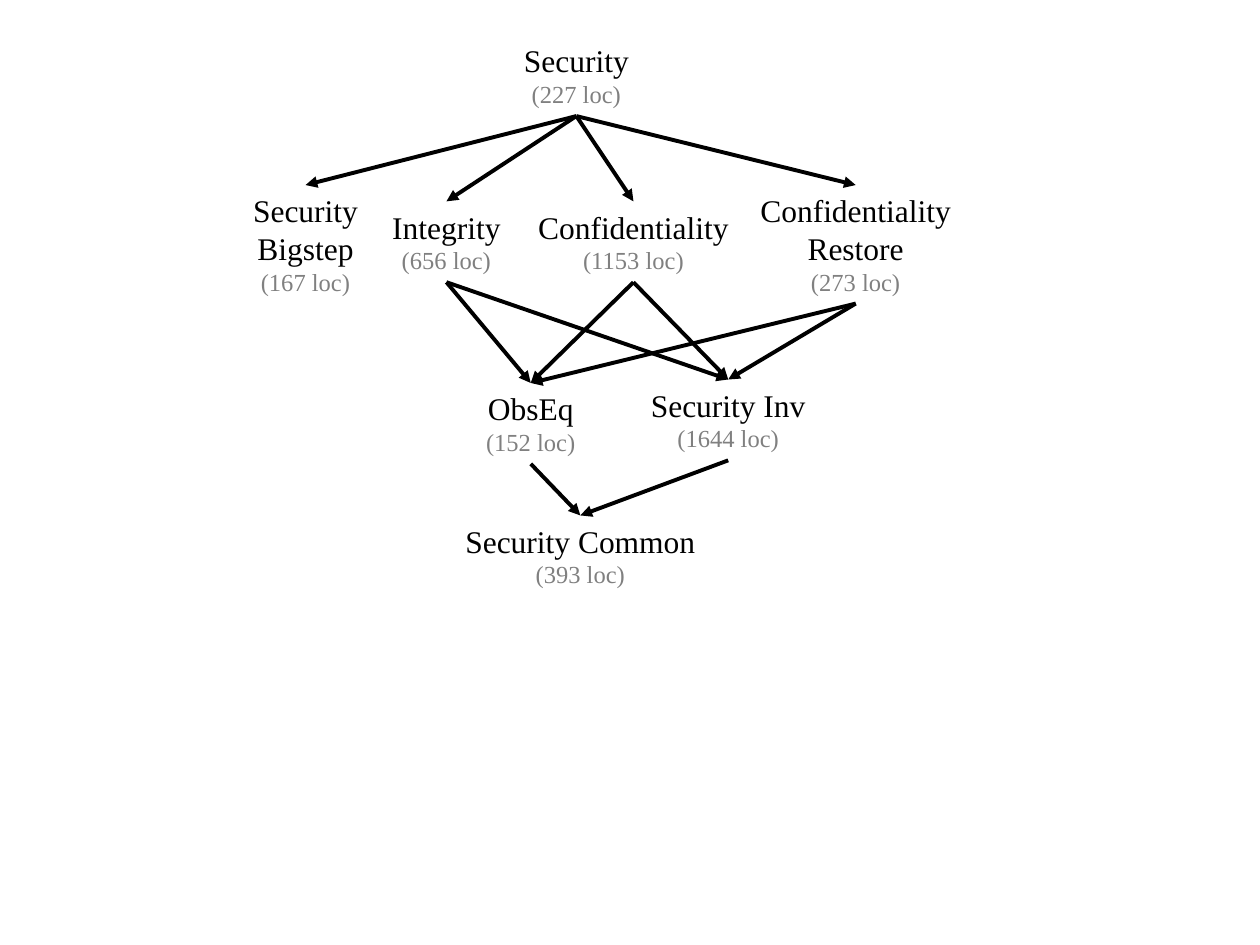
from dataclasses import dataclass

from lxml.etree import SubElement
from pptx import Presentation
from pptx.dml.color import RGBColor
from pptx.enum.shapes import MSO_CONNECTOR
from pptx.enum.text import MSO_AUTO_SIZE, PP_ALIGN
from pptx.oxml.ns import qn
from pptx.util import Cm, Pt


@dataclass(frozen=True)
class Theme:
    font: str = "Times New Roman"
    ink: RGBColor = RGBColor(0, 0, 0)
    muted: RGBColor = RGBColor(128, 128, 128)
    name_size: int = 18
    count_size: int = 14
    line_width: float = 2.25


@dataclass(frozen=True)
class Box:
    left: float
    top: float
    width: float
    height: float


THEME = Theme()
TOP_SITE, BOTTOM_SITE = 0, 2
NAME_HEIGHT, COUNT_HEIGHT = 0.76, 0.87

THEORIES = {
    "Security": (11.62, 0.71, 4.19, 227),
    "Security Bigstep": (6.16, 3.73, 3.53, 167),
    "Integrity": (9, 4.06, 3.53, 656),
    "Confidentiality": (12.77, 4.06, 4.39, 1153),
    "Confidentiality Restore": (17.25, 3.73, 4.39, 273),
    "ObsEq": (10.7, 7.72, 3.53, 152),
    "Security Inv": (14.68, 7.65, 3.89, 1644),
    "Security Common": (11.7, 10.39, 5.77, 393),
}
SPLIT_NAMES = {"Security Bigstep", "Confidentiality Restore"}

IMPORTS = {
    "Security": ["Security Bigstep", "Integrity", "Confidentiality", "Confidentiality Restore"],
    "Integrity": ["ObsEq", "Security Inv"],
    "Confidentiality": ["ObsEq", "Security Inv"],
    "Confidentiality Restore": ["ObsEq", "Security Inv"],
    "ObsEq": ["Security Common"],
    "Security Inv": ["Security Common"],
}


def write_line(para, text, *, size, color):
    para.alignment = PP_ALIGN.CENTER
    span = para.add_run()
    span.text = text
    span.font.name = THEME.font
    span.font.size = Pt(size)
    span.font.color.rgb = color


def add_theory(page, box, names, count):
    label = page.shapes.add_textbox(Cm(box.left), Cm(box.top), Cm(box.width), Cm(box.height))
    frame = label.text_frame
    frame.word_wrap = True
    frame.auto_size = MSO_AUTO_SIZE.SHAPE_TO_FIT_TEXT
    para = frame.paragraphs[0]
    for name in names:
        write_line(para, name, size=THEME.name_size, color=THEME.ink)
        para = frame.add_paragraph()
    write_line(para, f"({count} loc)", size=THEME.count_size, color=THEME.muted)
    return label


def add_arrow(page, source, target):
    arrow = page.shapes.add_connector(MSO_CONNECTOR.STRAIGHT, 0, 0, 0, 0)
    arrow.begin_connect(source, BOTTOM_SITE)
    arrow.end_connect(target, TOP_SITE)
    arrow.line.color.rgb = THEME.ink
    arrow.line.width = Pt(THEME.line_width)
    SubElement(arrow.line._get_or_add_ln(), qn("a:tailEnd"), type="triangle")
    SubElement(arrow._element.spPr, qn("a:effectLst"))


def add_import_graph(page, area):
    labels = {}
    for name, (center, top, width, count) in THEORIES.items():
        names = name.split() if name in SPLIT_NAMES else [name]
        height = NAME_HEIGHT * len(names) + COUNT_HEIGHT
        box = Box(area.left + center - width / 2, area.top + top, width, height)
        labels[name] = add_theory(page, box, names, count)
    for source, targets in IMPORTS.items():
        for target in targets:
            add_arrow(page, labels[source], labels[target])


deck = Presentation()
deck.slide_width, deck.slide_height = Cm(25.4), Cm(19.05)
page = deck.slides.add_slide(deck.slide_layouts[6])
add_import_graph(page, Box(0, 0, 25.4, 19.05))
deck.save("out.pptx")
